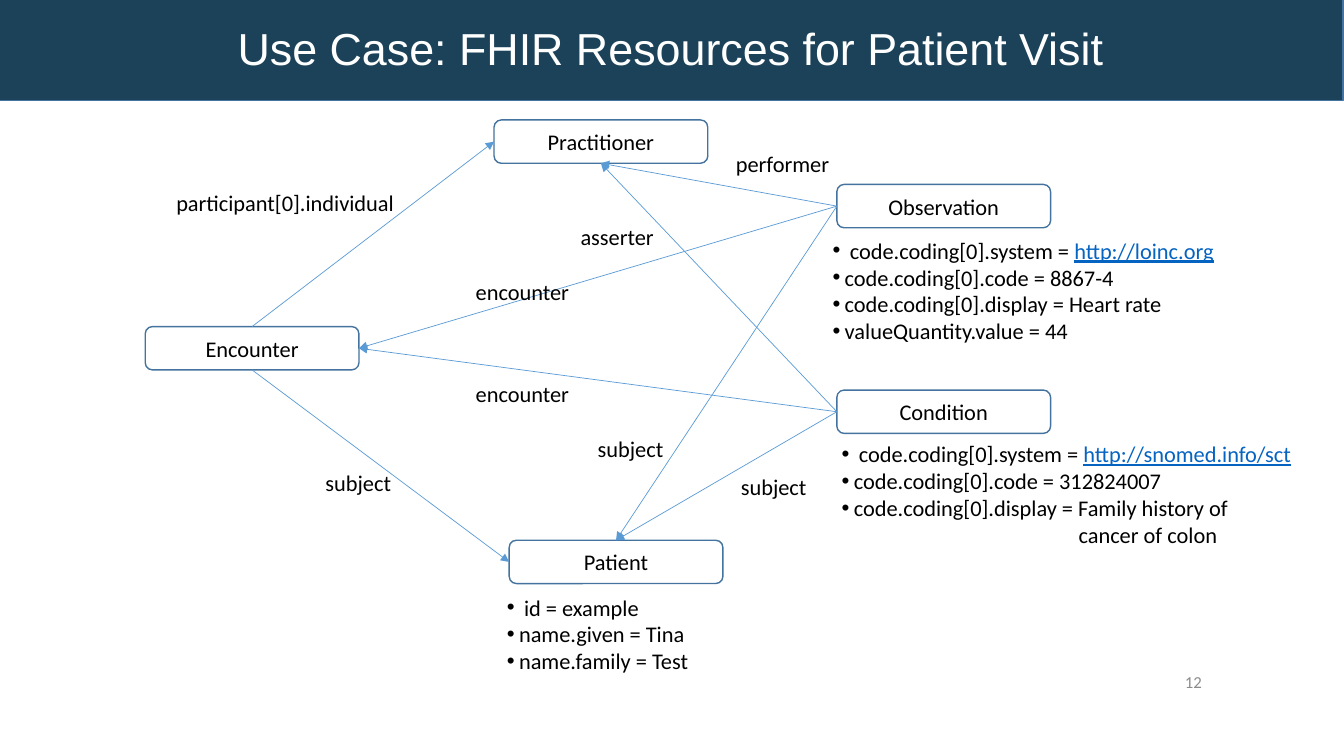
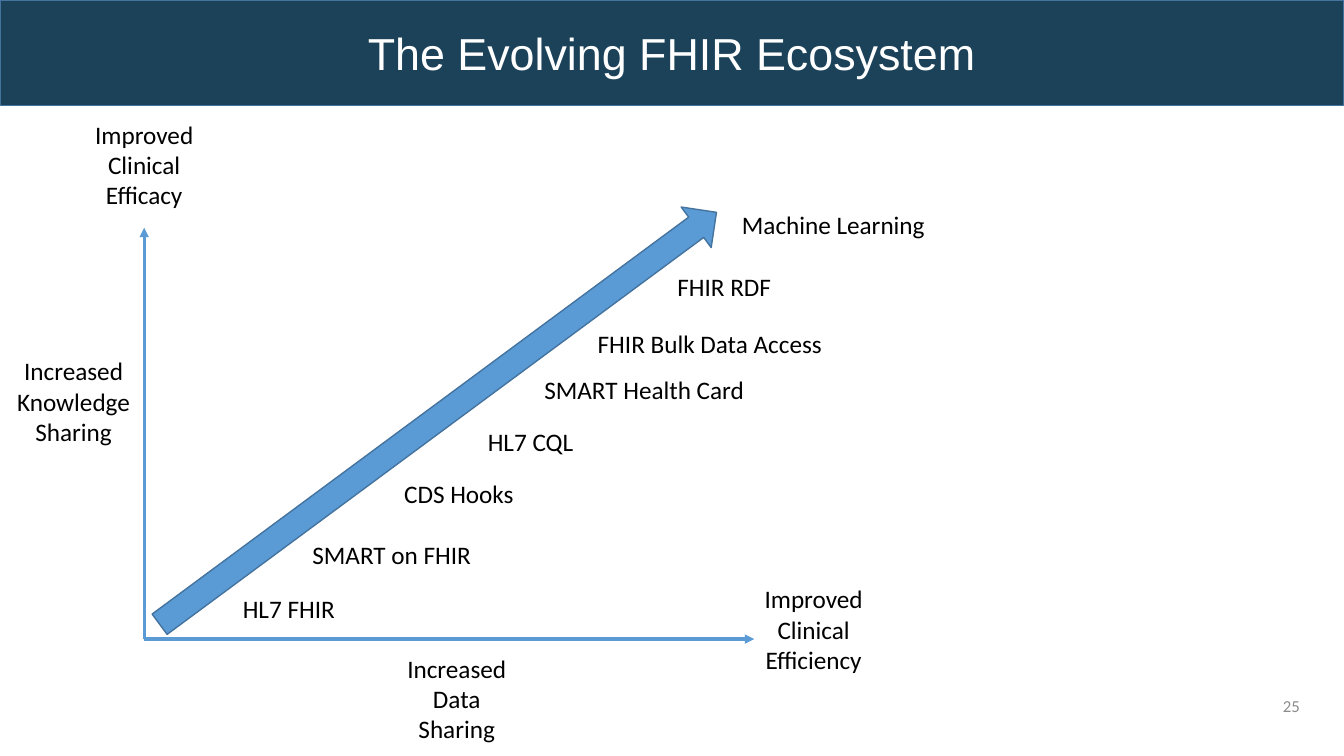
from lxml.etree import SubElement
from pptx import Presentation
from pptx.dml.color import RGBColor
from pptx.enum.shapes import MSO_CONNECTOR, MSO_SHAPE as SHAPE
from pptx.enum.text import MSO_ANCHOR as ANCHOR, PP_ALIGN as ALIGN
from pptx.oxml.ns import qn
from pptx.util import Pt

PX = 9144
BAND, BORDER, ACCENT = "1B4259", "43739E", "5B9BD5"
BLACK, WHITE, GRAY, LINK = "000000", "FFFFFF", "8C8C8C", "0563C1"
TOP, LEFT, BOTTOM, RIGHT = range(4)
hex_color = RGBColor.from_string


def write(shape, lines, size, align=ALIGN.LEFT, anchor=ANCHOR.TOP, color=BLACK, font="Calibri"):
    frame = shape.text_frame
    frame.word_wrap = True
    frame.vertical_anchor = anchor
    for index, line in enumerate(lines):
        paragraph = frame.add_paragraph() if index else frame.paragraphs[0]
        paragraph.alignment = align
        for words in line if isinstance(line, tuple) else (line,):
            is_link = words.startswith("http://")
            run = paragraph.add_run()
            run.text = words
            run.font.size = Pt(size)
            run.font.name = font
            run.font.underline = is_link
            run.font.color.rgb = hex_color(LINK if is_link else color)
    return frame.paragraphs


def draw_arrow(slide, start, end, width):
    arrow = slide.shapes.add_connector(
        MSO_CONNECTOR.STRAIGHT, *[value * PX for value in (*start, *end)])
    arrow.line.color.rgb = hex_color(ACCENT)
    arrow.line.width = Pt(width)
    SubElement(arrow.line._get_or_add_ln(), qn("a:tailEnd"), type="triangle")
    SubElement(arrow._element.spPr, qn("a:effectLst"))
    return arrow


deck = Presentation()
deck.slide_width, deck.slide_height = 1333 * PX, 750 * PX

slides = []
for title, number, band_left, band_top, number_left, number_top in [
    ("Use Case: FHIR Resources for Patient Visit", "12", -1, -5, 902, 656),
    ("The Evolving FHIR Ecosystem", "25", 0, 0, 999, 680),
]:
    slide = deck.slides.add_slide(deck.slide_layouts[6])
    band = slide.shapes.add_shape(
        SHAPE.RECTANGLE, band_left * PX, band_top * PX, 1333 * PX, 105 * PX)
    band.shadow.inherit = False
    band.fill.solid()
    band.fill.fore_color.rgb = hex_color(BAND)
    band.line.color.rgb = hex_color(BORDER)
    band.line.width = Pt(1)
    write(band, [title], 32, ALIGN.CENTER, ANCHOR.MIDDLE, WHITE, "Arial")
    page = slide.shapes.add_textbox(number_left * PX, number_top * PX, 300 * PX, 40 * PX)
    write(page, [number], 12, ALIGN.RIGHT, ANCHOR.MIDDLE, GRAY)
    slides.append(slide)
visit, ecosystem = slides

resources = {}
for name, left, top in [
    ("Encounter", 144, 324),
    ("Patient", 505, 536),
    ("Condition", 830, 387),
    ("Practitioner", 490, 119),
    ("Observation", 830, 183),
]:
    resource = visit.shapes.add_shape(
        SHAPE.ROUNDED_RECTANGLE, left * PX, top * PX, 212 * PX, 43 * PX)
    resource.shadow.inherit = False
    resource.fill.background()
    resource.line.color.rgb = hex_color(BORDER)
    resource.line.width = Pt(1)
    write(resource, [name], 16, ALIGN.CENTER, ANCHOR.MIDDLE)
    resources[name] = resource

for source, source_side, target, target_side in [
    ("Observation", LEFT, "Patient", TOP),
    ("Condition", LEFT, "Patient", TOP),
    ("Condition", LEFT, "Practitioner", BOTTOM),
    ("Observation", LEFT, "Practitioner", BOTTOM),
    ("Observation", LEFT, "Encounter", RIGHT),
    ("Condition", LEFT, "Encounter", RIGHT),
    ("Encounter", TOP, "Practitioner", LEFT),
    ("Encounter", BOTTOM, "Patient", LEFT),
]:
    reference = draw_arrow(visit, (0, 0), (0, 0), 0.5)
    reference.begin_connect(resources[source], source_side)
    reference.end_connect(resources[target], target_side)

for label, left, top, width in [
    ("performer", 720, 144, 120),
    ("encounter", 462, 271, 120),
    ("encounter", 462, 372, 120),
    ("asserter", 566, 216, 100),
    ("subject", 725, 464, 90),
    ("subject", 583, 427, 90),
    ("subject", 313, 461, 90),
    ("participant[0].individual", 165, 183, 245),
]:
    caption = visit.shapes.add_textbox(left * PX, top * PX, width * PX, 37 * PX)
    write(caption, [label], 16)

for left, top, width, height, fields, continuation in [
    (493, 584, 207, 91, ["id = example", "name.given = Tina", "name.family = Test"], []),
    (825, 432, 480, 118, [
        ("code.coding[0].system = ", "http://snomed.info/sct"),
        "code.coding[0].code = 312824007",
        "code.coding[0].display = Family history of",
    ], ["cancer of colon"]),
    (816, 230, 410, 118, [
        ("code.coding[0].system = ", "http://loinc.org"),
        "code.coding[0].code = 8867-4",
        "code.coding[0].display = Heart rate",
        "valueQuantity.value = 44",
    ], []),
]:
    details = visit.shapes.add_textbox(left * PX, top * PX, width * PX, height * PX)
    for index, paragraph in enumerate(write(details, fields + continuation, 16)):
        properties = paragraph._p.get_or_add_pPr()
        if index < len(fields):
            indent = 12 if index else 17
            properties.set("marL", str(indent * PX))
            properties.set("indent", str(-indent * PX))
            SubElement(properties, qn("a:buFont"), typeface="Arial")
            SubElement(properties, qn("a:buChar"), char="•")
        else:
            properties.set("marL", str(235 * PX))

origin = (143, 634)
for axis_end in [(143, 226), (748, 634)]:
    draw_arrow(ecosystem, origin, axis_end, 2.25)

progress = ecosystem.shapes.add_shape(
    SHAPE.RIGHT_ARROW, 91 * PX, 390 * PX, 687 * PX, 50 * PX)
progress.rotation = 323.5
progress.shadow.inherit = False
progress.fill.solid()
progress.fill.fore_color.rgb = hex_color(ACCENT)
progress.line.color.rgb = hex_color(BORDER)
progress.line.width = Pt(1)

for standard, left, top, width in [
    ("HL7 FHIR", 231, 584, 125),
    ("SMART on FHIR", 300, 530, 190),
    ("CDS Hooks", 391, 470, 140),
    ("HL7 CQL", 474, 418, 120),
    ("SMART Health Card", 530, 366, 235),
    ("FHIR Bulk Data Access", 583, 321, 260),
    ("FHIR RDF", 662, 264, 125),
    ("Machine Learning", 726, 203, 215),
]:
    milestone = ecosystem.shapes.add_textbox(left * PX, top * PX, width * PX, 40 * PX)
    write(milestone, [standard], 18)

for left, top, lines in [
    (62, 113, ["Improved Clinical Efficacy"]),
    (726, 574, ["Improved Clinical Efficiency"]),
    (372, 643, ["Increased", "Data", "Sharing"]),
    (-8, 348, ["Increased", "Knowledge", "Sharing"]),
]:
    axis_label = ecosystem.shapes.add_textbox(left * PX, top * PX, 162 * PX, 101 * PX)
    write(axis_label, lines, 18, ALIGN.CENTER)

deck.save("out.pptx")
